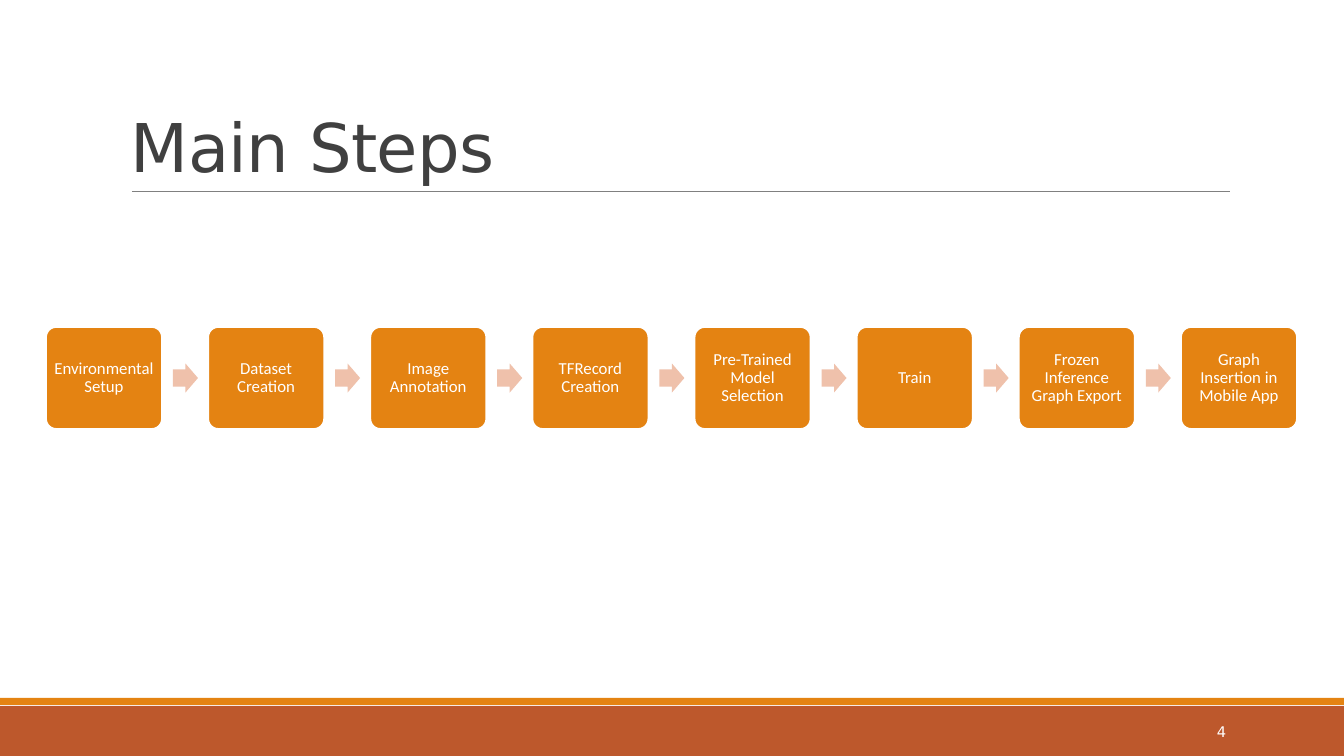
"""Build the Main Steps process slide."""
from pptx import Presentation
from pptx.dml.color import RGBColor
from pptx.enum.shapes import MSO_CONNECTOR, MSO_SHAPE
from pptx.enum.text import MSO_ANCHOR, PP_ALIGN
from pptx.oxml import parse_xml
from pptx.oxml.ns import nsdecls
from pptx.util import Pt

RECTANGLE = MSO_SHAPE.RECTANGLE
ROUNDED = MSO_SHAPE.ROUNDED_RECTANGLE
ARROW = MSO_SHAPE.RIGHT_ARROW
STRAIGHT = MSO_CONNECTOR.STRAIGHT
MIDDLE, BOTTOM = MSO_ANCHOR.MIDDLE, MSO_ANCHOR.BOTTOM
LEFT, CENTER, RIGHT = PP_ALIGN.LEFT, PP_ALIGN.CENTER, PP_ALIGN.RIGHT

PX = 914400 / 100.8
THEME = {
    "white": RGBColor.from_string("FFFFFF"),
    "heading": RGBColor.from_string("404040"),
    "rule": RGBColor.from_string("808080"),
    "orange": RGBColor.from_string("E48312"),
    "rust": RGBColor.from_string("BD582C"),
    "peach": RGBColor.from_string("EFC1AB"),
    "title_font": {"name": "DejaVu Sans", "size": Pt(48)},
    "step_font": {"name": "Calibri", "size": Pt(12)},
    "number_font": {"name": "DejaVu Sans", "size": Pt(10.5)},
}
STEPS = [
    "Environmental Setup",
    "Dataset Creation",
    "Image Annotation",
    "TFRecord Creation",
    "Pre-Trained Model Selection",
    "Train",
    "Frozen Inference Graph Export",
    "Graph Insertion in Mobile App",
]
FIRST_LEFT, LAST_LEFT = 46, 1181
STEP_TOP, STEP_WIDTH, STEP_HEIGHT = 327, 116, 102
ARROW_OFFSET, ARROW_WIDTH, ARROW_HEIGHT = 127, 25, 29
STEP_INSET = 5

deck = Presentation()
deck.slide_width, deck.slide_height = round(1344 * PX), round(756 * PX)
slide = deck.slides.add_slide(deck.slide_layouts[6])


def add_block(kind, box, color, adjustments=()):
    block = slide.shapes.add_shape(kind, *(round(length * PX) for length in box))
    block.shadow.inherit = False
    block.fill.solid()
    block.fill.fore_color.rgb = THEME[color]
    block.line.fill.background()
    for index, value in enumerate(adjustments):
        block.adjustments[index] = value
    return block


def write(holder, text, font, color, anchor, align, spacing=1.0):
    frame = holder.text_frame
    paragraph = frame.paragraphs[0]
    run = paragraph.add_run()
    run.text = text
    formats = [
        (frame, {"word_wrap": True, "vertical_anchor": anchor}),
        (paragraph, {"alignment": align, "line_spacing": spacing}),
        (run.font, THEME[font]),
        (run.font.color, {"rgb": THEME[color]}),
    ]
    for target, values in formats:
        for attribute, value in values.items():
            setattr(target, attribute, value)
    return run


add_block(RECTANGLE, (0, 706, 1344, 50), "rust")
add_block(RECTANGLE, (0, 698, 1344, 7), "orange")

title_rule = slide.shapes.add_connector(
    STRAIGHT, *(round(length * PX) for length in (132, 191, 1230, 191)))
title_rule.line.color.rgb = THEME["rule"]
title_rule.line.width = Pt(0.5)
title_rule._element.spPr.append(parse_xml(f"<a:effectLst {nsdecls('a')}/>"))

title = slide.shapes.add_textbox(
    *(round(length * PX) for length in (121, 31, 1109, 160)))
title_run = write(title, "Main Steps", "title_font", "heading", BOTTOM, LEFT, 0.85)
title_run._r.get_or_add_rPr().set("spc", "-50")

pitch = (LAST_LEFT - FIRST_LEFT) / (len(STEPS) - 1)
arrow_top = STEP_TOP + (STEP_HEIGHT - ARROW_HEIGHT) / 2
for position, label in enumerate(STEPS):
    left = FIRST_LEFT + position * pitch
    step = add_block(ROUNDED, (left, STEP_TOP, STEP_WIDTH, STEP_HEIGHT), "orange", [0.1])
    step.line.color.rgb = THEME["white"]
    step.line.width = Pt(1.25)
    for side in ("left", "top", "right", "bottom"):
        setattr(step.text_frame, f"margin_{side}", round(STEP_INSET * PX))
    write(step, label, "step_font", "white", MIDDLE, CENTER, 0.9)
    if position < len(STEPS) - 1:
        add_block(ARROW, (left + ARROW_OFFSET, arrow_top, ARROW_WIDTH, ARROW_HEIGHT),
                  "peach", [0.6, 0.5])

page_number = slide.shapes.add_textbox(
    *(round(length * PX) for length in (1092, 712, 144, 40)))
write(page_number, "4", "number_font", "white", MIDDLE, RIGHT)

deck.save("out.pptx")
